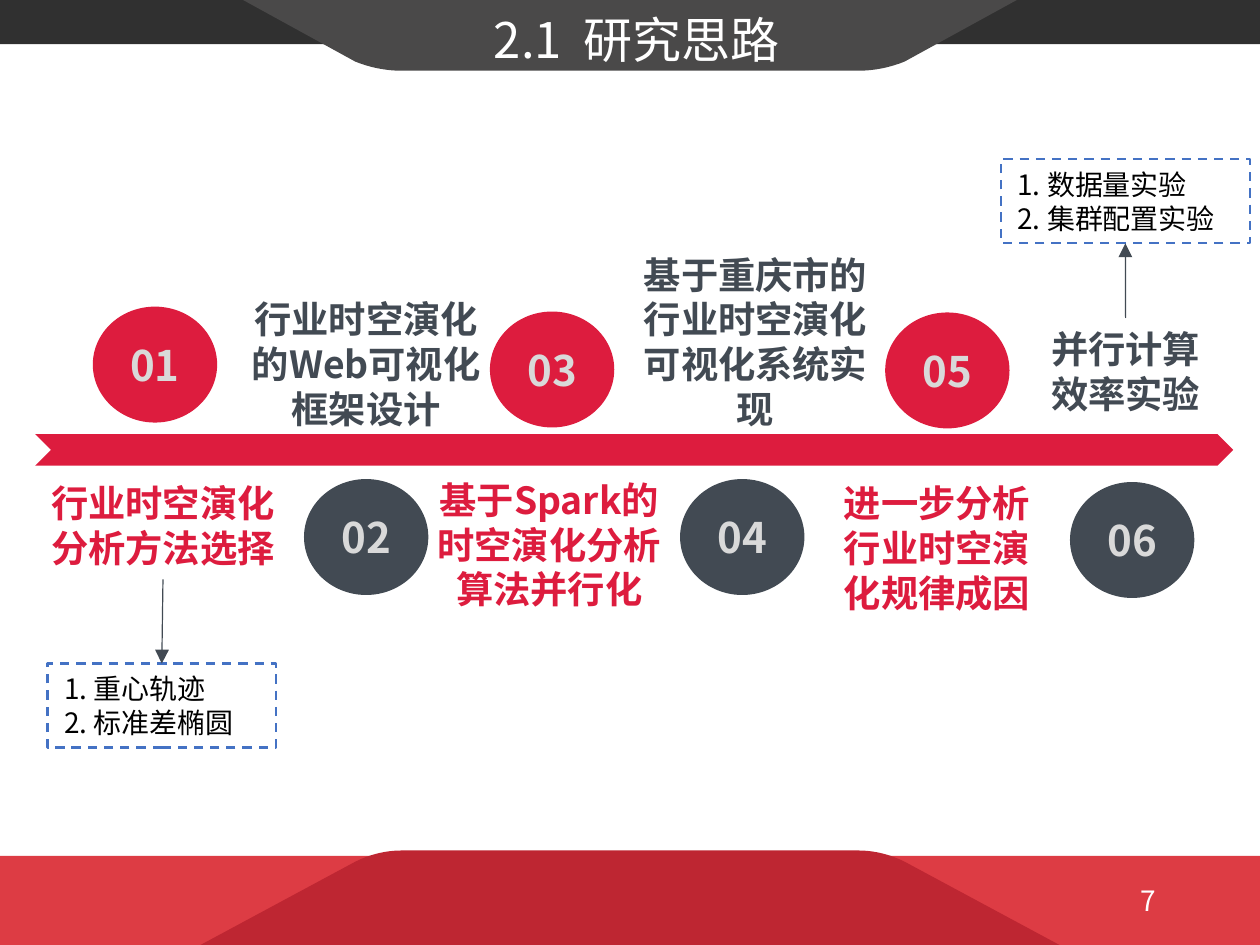
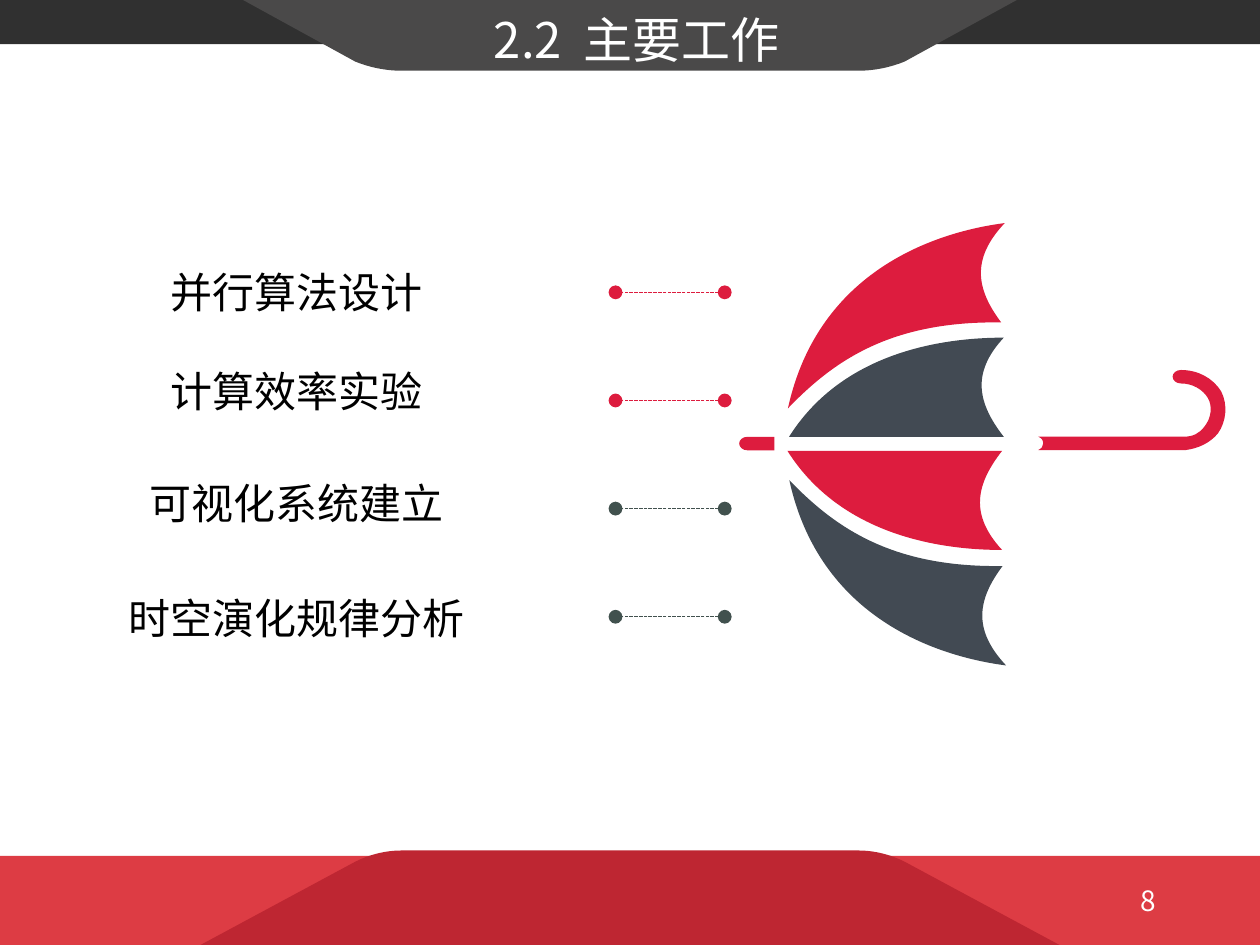
"""Build the research approach and main work slides."""
from copy import deepcopy
from dataclasses import dataclass

from lxml.etree import SubElement
from pptx import Presentation
from pptx.dml.color import RGBColor
from pptx.enum.dml import MSO_LINE
from pptx.enum.shapes import MSO_CONNECTOR, MSO_SHAPE, PP_PLACEHOLDER
from pptx.enum.text import MSO_ANCHOR, MSO_AUTO_SIZE, PP_ALIGN
from pptx.oxml.ns import qn
from pptx.util import Pt


@dataclass(frozen=True)
class Theme:
    font: str = "Noto Sans CJK SC"
    red: str = "DD1C3E"
    slate: str = "424A53"
    green: str = "41514E"
    blue: str = "4472C4"
    pale: str = "D9D9D9"
    white: str = "FFFFFF"
    black: str = "000000"
    header: str = "303030"
    header_tab: str = "4A4949"
    footer: str = "DD3C44"
    footer_tab: str = "BE2632"
    title_size: float = 21
    item_size: float = 18
    label_size: float = 16
    small_size: float = 12


THEME = Theme()
WIDTH, HEIGHT = 540, 405
TITLES = ["2.1  研究思路", "2.2  主要工作"]
FIRST_NUMBER = 7
TITLE_BOX = (204.5, 0.5, 142, 32.4)
NUMBER_BOX = (381, 375.3, 121.7, 21.6)

CIRCLE = (53.3, 49.7)
STEPS = [
    ((39.8, 131.4), "行业时空演化分析方法选择", (12.6, 202.3, 114.5, 46)),
    ((130.3, 205.3), "行业时空演化的Web可视化框架设计", (99.7, 123.6, 114.5, 65.5)),
    ((210, 133.5), "基于Spark的时空演化分析算法并行化", (179.3, 200.9, 112.3, 65.5)),
    ((291.5, 205.3), "基于重庆市的行业时空演化可视化系统实现", (264.8, 104.4, 118, 85)),
    ((379.4, 133.9), "进一步分析行业时空演化规律成因", (352.3, 202.3, 98.6, 65.5)),
    ((458.6, 206.6), "并行计算效率实验", (436.3, 136.3, 92.2, 46)),
]
TIMELINE = (15.1, 186.1, 513.4, 13.5)
NOTES = [
    (0, ["1. 重心轨迹", "2. 标准差椭圆"], (20.4, 284.4, 97.9, 36), (2, 0)),
    (5, ["1. 数据量实验", "2. 集群配置实验"], (429, 68.3, 106.6, 36), (0, 2)),
]

WORK = [("并行算法设计", 110.9, THEME.red), ("计算效率实验", 153, THEME.red),
        ("可视化系统建立", 201, THEME.green), ("时空演化规律分析", 250.2, THEME.green)]
WORK_WIDTH, WORK_HEIGHT = 254, 28.8
LINE_LEFT, LINE_RIGHT, LINE_TOP, LINE_STEP = 263.8, 310.6, 125.3, 46.35

OUTER_PANEL = [
    (337.7, 175), (350.6, 115.9, 401, 99.4, 430.6, 95.6),
    (416.2, 110.9, 418.3, 123.8, 429.1, 138.2),
    (382.3, 137.5, 357.8, 154.1, 337.7, 175)]
INNER_PANEL = [
    (338.2, 187.2), (360, 152.6, 400.3, 144.7, 430.2, 144.7),
    (416.2, 159.8, 419, 172.8, 430.2, 187.2), (338.2, 187.2)]
PANELS = [
    (OUTER_PANEL, THEME.red, THEME.slate, 0.6, 190.4),
    (INNER_PANEL, THEME.slate, THEME.red, -0.7, 190.2),
]
TIP = [
    (320.4, 187.2), (331.9, 187.2), (331.9, 193), (320.4, 193),
    (318.2, 193, 316.8, 191.5, 316.8, 190.1),
    (316.8, 188.6, 318.2, 187.2, 320.4, 187.2)]
HANDLE = [
    (506.2, 158.6), (513.4, 158.6, 519.8, 162, 523.4, 167.8),
    (526.3, 173.5, 525.6, 180.7, 522, 185.8),
    (518.4, 190.1, 513.4, 192.2, 508.3, 192.9), (445, 192.9),
    (446.4, 192.2, 447.1, 191.5, 447.1, 190.1),
    (447.1, 188.6, 446.4, 187.9, 445, 187.2), (507.6, 187.2),
    (511.2, 187.2, 514.1, 185.8, 516.2, 182.9),
    (519.1, 179.3, 519.8, 174.2, 517.7, 170.6),
    (515.5, 167, 511.2, 164.4, 506.2, 164.4),
    (504, 164.4, 502.6, 162.9, 502.6, 161.5),
    (502.6, 160, 504, 158.6, 506.2, 158.6)]


def assign(target, **values):
    for name, value in values.items():
        setattr(target, name, value)


def place(shape, box):
    assign(shape, **dict(zip(("left", "top", "width", "height"), map(Pt, box))))


def write(shape, lines, size, color, align=PP_ALIGN.CENTER, bold=False, **frame_values):
    frame = shape.text_frame
    assign(frame, **{"word_wrap": True, "vertical_anchor": MSO_ANCHOR.TOP, **frame_values})
    frame.text = "\n".join(lines)
    for para in frame.paragraphs:
        para.alignment = align
        for span in para.runs:
            assign(span.font, size=Pt(size), bold=bold, name=THEME.font)
            span.font.color.rgb = RGBColor.from_string(color)
            SubElement(span.font._element, qn("a:ea"), typeface=THEME.font)


def paint(shape, fill):
    shape.shadow.inherit = False
    shape.fill.solid()
    shape.fill.fore_color.rgb = RGBColor.from_string(fill)
    shape.line.fill.background()
    return shape


def add_preset(shapes, kind, box, fill):
    return paint(shapes.add_shape(kind, *map(Pt, box)), fill)


def add_label(shapes, text, box, size, color, **values):
    label = shapes.add_textbox(*map(Pt, box))
    write(label, [text], size, color, auto_size=MSO_AUTO_SIZE.SHAPE_TO_FIT_TEXT, **values)
    return label


def add_outline(shapes, outline, fill):
    start, *rest = [(Pt(x), Pt(y)) for segment in outline
                    for x, y in zip(segment[::2], segment[1::2])]
    builder = shapes.build_freeform(*start)
    builder.add_line_segments(rest, close=True)
    shape = paint(builder.convert_to_shape(), fill)
    path = next(shape.element.iter(qn("a:path")))
    lines = iter(path.findall(qn("a:lnTo")))
    for segment in outline[1:]:
        curve = next(lines)
        if len(segment) == 6:
            curve.tag = qn("a:cubicBezTo")
            for extra in (next(lines), next(lines)):
                curve.append(extra[0])
                path.remove(extra)
    return shape


def add_tab(shapes, foot, shoulder, edge, fill):
    bend = shoulder + 0.6 * (edge - shoulder)
    outline = [
        foot, (152.3, shoulder), (158, bend, 165, edge, 172, edge), (WIDTH - 172, edge),
        (WIDTH - 165, edge, WIDTH - 158, bend, WIDTH - 152.3, shoulder),
        (WIDTH - foot[0], foot[1])]
    return add_outline(shapes, outline, fill)


def mirror(outline, shift, axis):
    return [tuple(2 * axis - value if index % 2 else value + shift
                  for index, value in enumerate(segment)) for segment in outline]


def add_line(shapes, start, end, color, dash=None, **ends):
    line = shapes.add_connector(MSO_CONNECTOR.STRAIGHT, *map(Pt, (*start, *end)))
    assign(line.line, width=Pt(0.5), dash_style=dash)
    line.line.color.rgb = RGBColor.from_string(color)
    properties = line.element.spPr
    for name, kind in ends.items():
        SubElement(properties.find(qn("a:ln")), qn(f"a:{name}"), type=kind)
    SubElement(properties, qn("a:effectLst"))
    return line


def number_holder(page):
    return next(holder for holder in page.placeholders
                if holder.placeholder_format.type == PP_PLACEHOLDER.SLIDE_NUMBER)


def add_page(deck, layout, title, number):
    page = deck.slides.add_slide(layout)
    write(page.shapes.title, [title], THEME.title_size, THEME.white, PP_ALIGN.LEFT,
          word_wrap=False, auto_size=MSO_AUTO_SIZE.NONE)
    page.shapes.element.append(deepcopy(number_holder(layout).element))
    write(number_holder(page), [str(number)], THEME.small_size, THEME.white,
          PP_ALIGN.RIGHT, vertical_anchor=MSO_ANCHOR.MIDDLE)
    return page


def decorate_layout(layout, page):
    shapes = page.shapes
    bands = [
        add_preset(shapes, MSO_SHAPE.RECTANGLE, (0, 366.9, WIDTH, 38.1), THEME.footer),
        add_tab(shapes, (85.9, HEIGHT), 369.3, 364.5, THEME.footer_tab),
        add_preset(shapes, MSO_SHAPE.RECTANGLE, (0, 0, WIDTH, 18.9), THEME.header),
        add_tab(shapes, (104.2, 0), 26.4, 30.3, THEME.header_tab),
    ]
    for position, band in enumerate(bands, 2):
        layout.shapes.element.insert(position, band.element)


def draw_approach(page):
    shapes = page.shapes
    add_preset(shapes, MSO_SHAPE.CHEVRON, TIMELINE, THEME.red)
    labels = []
    for index, (corner, text, box) in enumerate(STEPS):
        color = (THEME.red, THEME.slate)[index % 2]
        circle = add_preset(shapes, MSO_SHAPE.OVAL, (*corner, *CIRCLE), color)
        write(circle, [f"{index + 1:02}"], THEME.item_size, THEME.pale, bold=True,
              vertical_anchor=MSO_ANCHOR.MIDDLE, margin_left=Pt(4.3), margin_right=Pt(4.3),
              margin_top=Pt(2.2), margin_bottom=Pt(2.2))
        labels.append(add_label(shapes, text, box, THEME.label_size, color, bold=True))
    for step, lines, box, (label_side, note_side) in NOTES:
        note = add_preset(shapes, MSO_SHAPE.RECTANGLE, box, THEME.white)
        note.line.color.rgb = RGBColor.from_string(THEME.blue)
        assign(note.line, width=Pt(1), dash_style=MSO_LINE.DASH)
        write(note, lines, THEME.small_size, THEME.black, PP_ALIGN.LEFT,
              auto_size=MSO_AUTO_SIZE.SHAPE_TO_FIT_TEXT)
        arrow = add_line(shapes, (0, 0), (0, 0), THEME.slate, tailEnd="triangle")
        arrow.begin_connect(labels[step], label_side)
        arrow.end_connect(note, note_side)


def draw_work(page):
    shapes = page.shapes
    umbrella = shapes.add_group_shape().shapes
    for outline, upper, lower, shift, axis in PANELS:
        add_outline(umbrella, outline, upper)
        add_outline(umbrella, mirror(outline, shift, axis), lower)
    for outline in (TIP, HANDLE):
        add_outline(umbrella, outline, THEME.red)
    for index, (text, top, color) in enumerate(WORK):
        add_label(shapes, text, (0, top, WORK_WIDTH, WORK_HEIGHT), THEME.item_size, THEME.black)
        y = LINE_TOP + index * LINE_STEP
        add_line(shapes, (LINE_RIGHT, y), (LINE_LEFT, y), color, MSO_LINE.SQUARE_DOT,
                 headEnd="oval", tailEnd="oval")


def main():
    deck = Presentation()
    assign(deck, slide_width=Pt(WIDTH), slide_height=Pt(HEIGHT))
    layout = deck.slide_layouts[5]
    place(layout.placeholders[0], TITLE_BOX)
    place(number_holder(layout), NUMBER_BOX)
    pages = [add_page(deck, layout, title, number)
             for number, title in enumerate(TITLES, FIRST_NUMBER)]
    decorate_layout(layout, pages[0])
    for draw, page in zip((draw_approach, draw_work), pages):
        draw(page)
    deck.save("out.pptx")


if __name__ == "__main__":
    main()
